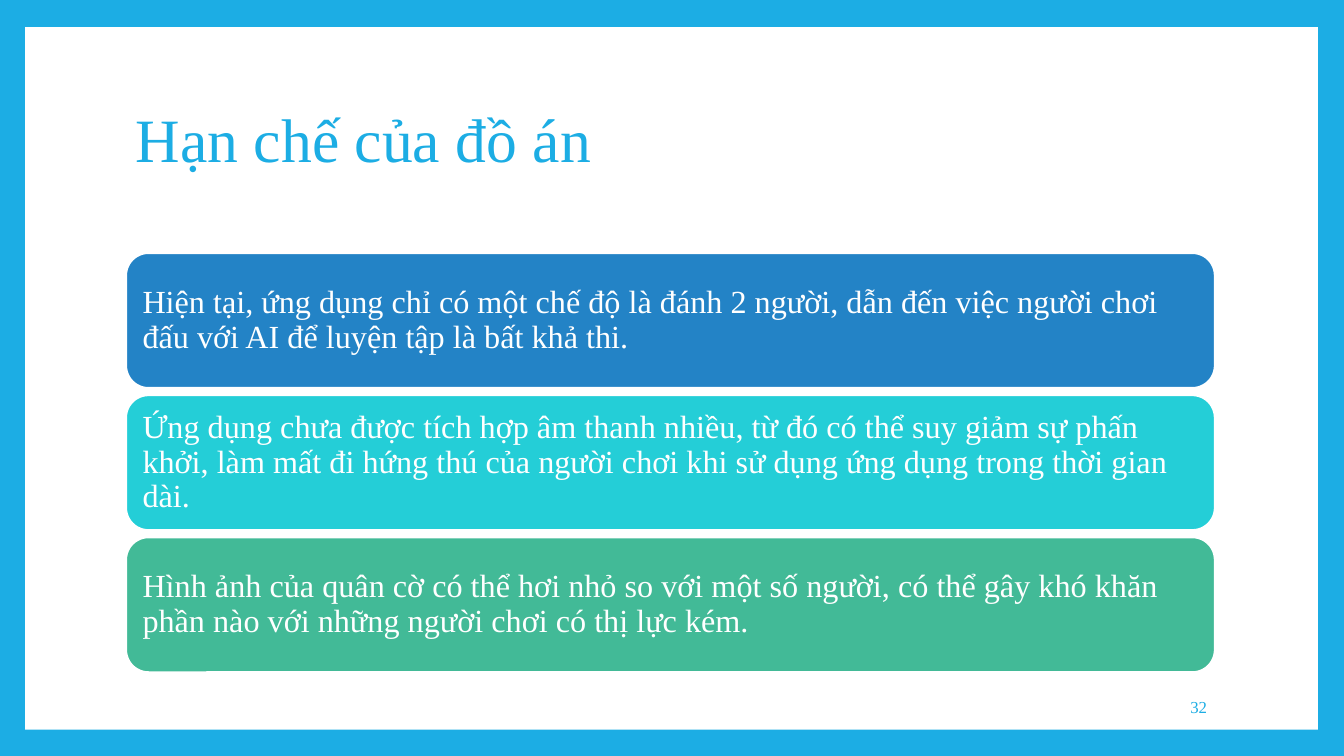
from pptx import Presentation
from pptx.dml.color import RGBColor
from pptx.enum.shapes import MSO_SHAPE
from pptx.enum.text import MSO_ANCHOR, PP_ALIGN
from pptx.util import Inches, Pt

BLUE = RGBColor(0x1C, 0xAD, 0xE4)
WHITE = RGBColor(0xFF, 0xFF, 0xFF)
DEEP_BLUE = RGBColor(0x23, 0x83, 0xC6)
TURQUOISE = RGBColor(0x24, 0xCE, 0xD7)
GREEN = RGBColor(0x42, 0xBA, 0x97)

LEFT, WIDTH = 1.25, 10.8
CARD_TOP, CARD_HEIGHT, CARD_STEP = 2.51, 1.34, 1.41

LIMITATIONS = [
    ("Hiện tại, ứng dụng chỉ có một chế độ là đánh 2 người, dẫn đến việc "
     "người chơi đấu với AI để luyện tập là bất khả thi.", DEEP_BLUE),
    ("Ứng dụng chưa được tích hợp âm thanh nhiều, từ đó có thể suy giảm sự "
     "phấn khởi, làm mất đi hứng thú của người chơi khi sử dụng ứng dụng "
     "trong thời gian dài.", TURQUOISE),
    ("Hình ảnh của quân cờ có thể hơi nhỏ so với một số người, có thể gây khó "
     "khăn phần nào với những người chơi có thị lực kém.", GREEN),
]


def write_text(shape, text, size, color, align=PP_ALIGN.LEFT, spacing=1.0,
               margin=0.05):
    frame = shape.text_frame
    frame.word_wrap = True
    frame.vertical_anchor = MSO_ANCHOR.MIDDLE
    frame.margin_left = frame.margin_right = Inches(0.1)
    frame.margin_top = frame.margin_bottom = Inches(margin)
    para = frame.paragraphs[0]
    para.alignment = align
    para.line_spacing = spacing
    span = para.add_run()
    span.text = text
    span.font.name = "Times New Roman"
    span.font.size = Pt(size)
    span.font.color.rgb = color


def add_text(page, text, left, top, width, height, **text_format):
    box = page.shapes.add_textbox(Inches(left), Inches(top),
                                  Inches(width), Inches(height))
    write_text(box, text, **text_format)


def add_block(page, kind, left, top, width, height, fill):
    block = page.shapes.add_shape(kind, Inches(left), Inches(top),
                                  Inches(width), Inches(height))
    block.shadow.inherit = False
    block.fill.solid()
    block.fill.fore_color.rgb = fill
    block.line.fill.background()
    return block


def add_card(page, text, top, fill):
    card = add_block(page, MSO_SHAPE.ROUNDED_RECTANGLE, LEFT, top,
                     WIDTH, CARD_HEIGHT, fill)
    card.line.color.rgb = WHITE
    card.line.width = Pt(1.5)
    write_text(card, text, size=23, color=WHITE, spacing=0.9, margin=0.1)


def main():
    deck = Presentation()
    deck.slide_width, deck.slide_height = Inches(13.33), Inches(7.5)
    page = deck.slides.add_slide(deck.slide_layouts[6])

    # Blue frame around a white panel
    page.background.fill.solid()
    page.background.fill.fore_color.rgb = BLUE
    add_block(page, MSO_SHAPE.RECTANGLE, 0.25, 0.27, 12.82, 6.97, WHITE)

    # Title and slide number
    add_text(page, "Hạn chế của đồ án", LEFT, 0.67, WIDTH, 1.48,
             size=44, color=BLUE, spacing=0.9)
    add_text(page, "32", 10.2, 6.81, 1.87, 0.4,
             size=12, color=BLUE, align=PP_ALIGN.RIGHT)

    # One card per limitation
    for index, (text, fill) in enumerate(LIMITATIONS):
        add_card(page, text, CARD_TOP + index * CARD_STEP, fill)

    deck.save("out.pptx")


if __name__ == "__main__":
    main()
